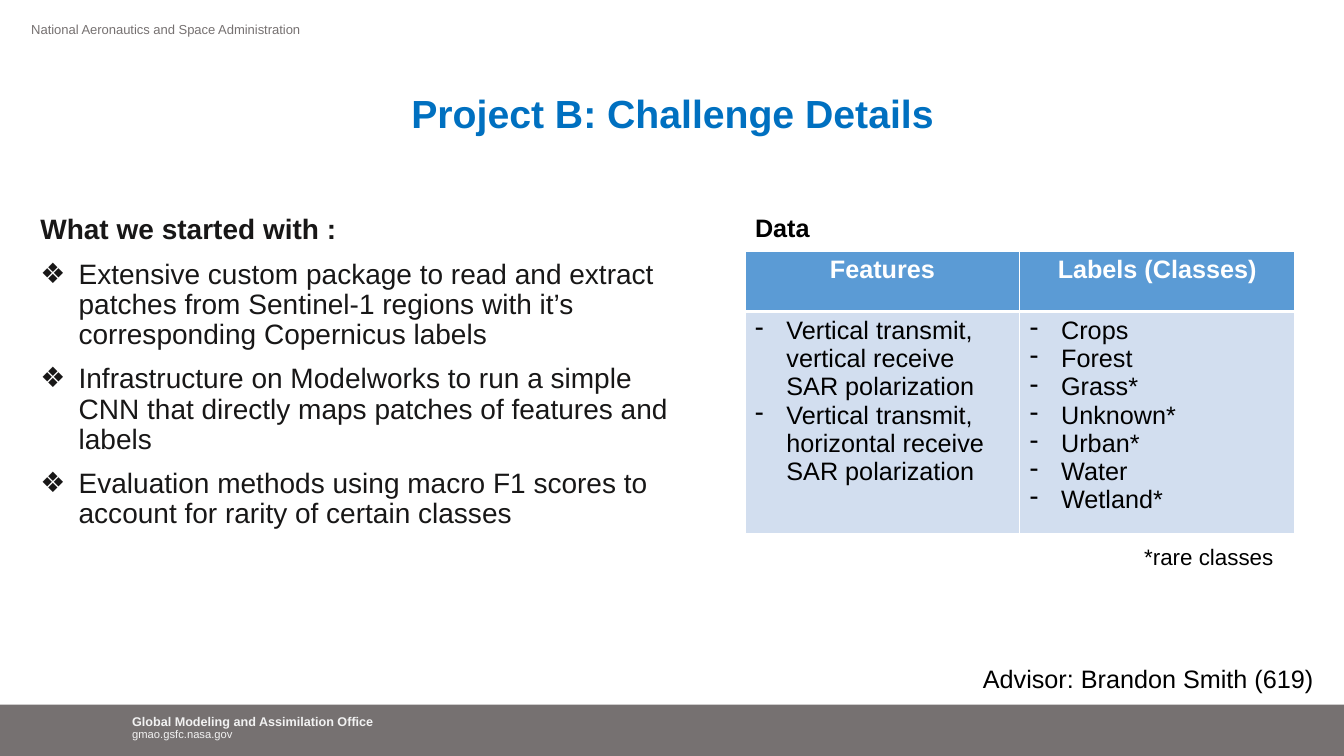
from lxml.etree import SubElement
from pptx import Presentation
from pptx.dml.color import RGBColor
from pptx.enum.shapes import MSO_SHAPE
from pptx.enum.text import MSO_ANCHOR, MSO_AUTO_SIZE, PP_ALIGN
from pptx.oxml import parse_xml
from pptx.oxml.ns import nsdecls, qn
from pptx.util import Inches, Pt

BLUE, PALE, GREY = "5B9BD5", "D2DEEF", "767171"
WHITE, BLACK, INK = "FFFFFF", "000000", "181717"


def rgb(value):
    return RGBColor.from_string(value)


def set_all(obj, values):
    for name, value in values.items():
        setattr(obj, name, value)


class Deck:
    def __init__(self, font="Arial"):
        self.font = font
        self.prs = Presentation()
        set_all(self.prs, {"slide_width": Inches(13.33), "slide_height": Inches(7.5)})
        self.s = self.prs.slides.add_slide(self.prs.slide_layouts[1])

    def paragraph(self, tf, text, size, color=BLACK, bold=False, bullet=None,
                  indent=0, first=False, **fmt):
        p = tf.paragraphs[0] if first else tf.add_paragraph()
        set_all(p, fmt)
        r = p.add_run()
        r.text = text
        set_all(r.font, {"name": self.font, "size": Pt(size), "bold": bold})
        r.font.color.rgb = rgb(color)
        pPr = p._p.get_or_add_pPr()
        pPr.set("marL", str(Inches(indent)))
        pPr.set("indent", str(-Inches(indent)))
        if bullet:
            SubElement(pPr, qn("a:buChar")).set("char", bullet)
        else:
            SubElement(pPr, qn("a:buNone"))

    def fill_frame(self, tf, lines, **common):
        for i, line in enumerate(lines):
            self.paragraph(tf, first=i == 0, **{**common, **line})

    def placeholder(self, index, box, lines, **common):
        sp = self.s.placeholders[index]
        set_all(sp, dict(zip(("left", "top", "width", "height"), map(Inches, box))))
        set_all(sp.text_frame, {"auto_size": MSO_AUTO_SIZE.NONE, "word_wrap": True,
                                "vertical_anchor": MSO_ANCHOR.TOP})
        self.fill_frame(sp.text_frame, lines, line_spacing=0.9, **common)

    def text(self, box, lines, margins=(0.1, 0.05), wrap=True, **common):
        tf = self.s.shapes.add_textbox(*map(Inches, box)).text_frame
        x, y = map(Inches, margins)
        set_all(tf, {"word_wrap": wrap, "margin_left": x, "margin_right": x,
                     "margin_top": y, "margin_bottom": y})
        self.fill_frame(tf, lines, **common)

    def band(self, box, color):
        sp = self.s.shapes.add_shape(MSO_SHAPE.RECTANGLE, *map(Inches, box))
        sp.shadow.inherit = False
        sp.fill.solid()
        sp.fill.fore_color.rgb = rgb(color)
        sp.line.fill.background()

    def cell(self, cell, lines, fill, bottom=1, **common):
        cell.fill.solid()
        cell.fill.fore_color.rgb = rgb(fill)
        tcPr = cell._tc.get_or_add_tcPr()
        for i, side in enumerate("LRTB"):
            width = Pt(bottom if side == "B" else 1)
            tcPr.insert(i, parse_xml(
                f'<a:ln{side} {nsdecls("a")} w="{width}"><a:solidFill>'
                f'<a:srgbClr val="{WHITE}"/></a:solidFill></a:ln{side}>'))
        self.fill_frame(cell.text_frame, lines, size=18, **common)

    def table(self, box, heights, columns):
        """Draw one column per heading, with its items as a dashed list."""
        tbl = self.s.shapes.add_table(2, len(columns), *map(Inches, box)).table
        for row, height in zip(tbl.rows, heights):
            row.height = Inches(height)
        for i, (heading, items) in enumerate(columns.items()):
            self.cell(tbl.cell(0, i), [{"text": heading}], BLUE, bottom=3,
                      color=WHITE, bold=True, alignment=PP_ALIGN.CENTER)
            self.cell(tbl.cell(1, i), [{"text": item} for item in items], PALE,
                      bullet="-", indent=0.31)


def main():
    deck = Deck()
    deck.band((0, 6.99, 13.33, 0.51), GREY)
    deck.text((1.31, 7.1, 2.82, 0.26), [
        {"text": "Global Modeling and Assimilation Office", "size": 9, "bold": True},
        {"text": "gmao.gsfc.nasa.gov", "size": 8},
    ], margins=(0, 0), color="F2F2F2", line_spacing=0.9)
    deck.text((0.16, 0.14, 3.91, 0.34),
              [{"text": "National Aeronautics and Space Administration"}],
              margins=(0.15, 0.07), size=9.3, color=GREY)

    deck.placeholder(0, (0.92, 0.89, 11.5, 0.9), [{"text": "Project B: Challenge Details"}],
                     size=28, color="0070C0", bold=True, alignment=PP_ALIGN.CENTER)
    started_with = [
        "Extensive custom package to read and extract patches from Sentinel-1 regions "
        "with it’s corresponding Copernicus labels",
        "Infrastructure on Modelworks to run a simple CNN that directly maps patches "
        "of features and labels",
        "Evaluation methods using macro F1 scores to account for rarity of certain classes",
    ]
    deck.placeholder(1, (0.3, 2.09, 6.73, 4.09),
                     [{"text": "What we started with :", "bold": True}]
                     + [{"text": t, "bullet": "❖", "indent": 0.38} for t in started_with],
                     size=20, color=INK, space_before=Pt(10))

    deck.text((7.39, 2.06, 0.75, 0.4), [{"text": "Data"}], wrap=False, size=18, bold=True)
    deck.table((7.39, 2.49, 5.45, 2.8), (0.6, 2.2), {
        "Features": ["Vertical transmit, vertical receive SAR polarization",
                     "Vertical transmit, horizontal receive SAR polarization"],
        "Labels (Classes)": ["Crops", "Forest", "Grass*", "Unknown*", "Urban*",
                             "Water", "Wetland*"],
    })
    deck.text((11.25, 5.34, 1.67, 0.37), [{"text": "*rare classes"}], size=16)
    deck.text((9.65, 6.53, 3.57, 0.4), [{"text": "Advisor: Brandon Smith (619)"}], size=18)
    deck.prs.save("out.pptx")


if __name__ == "__main__":
    main()
